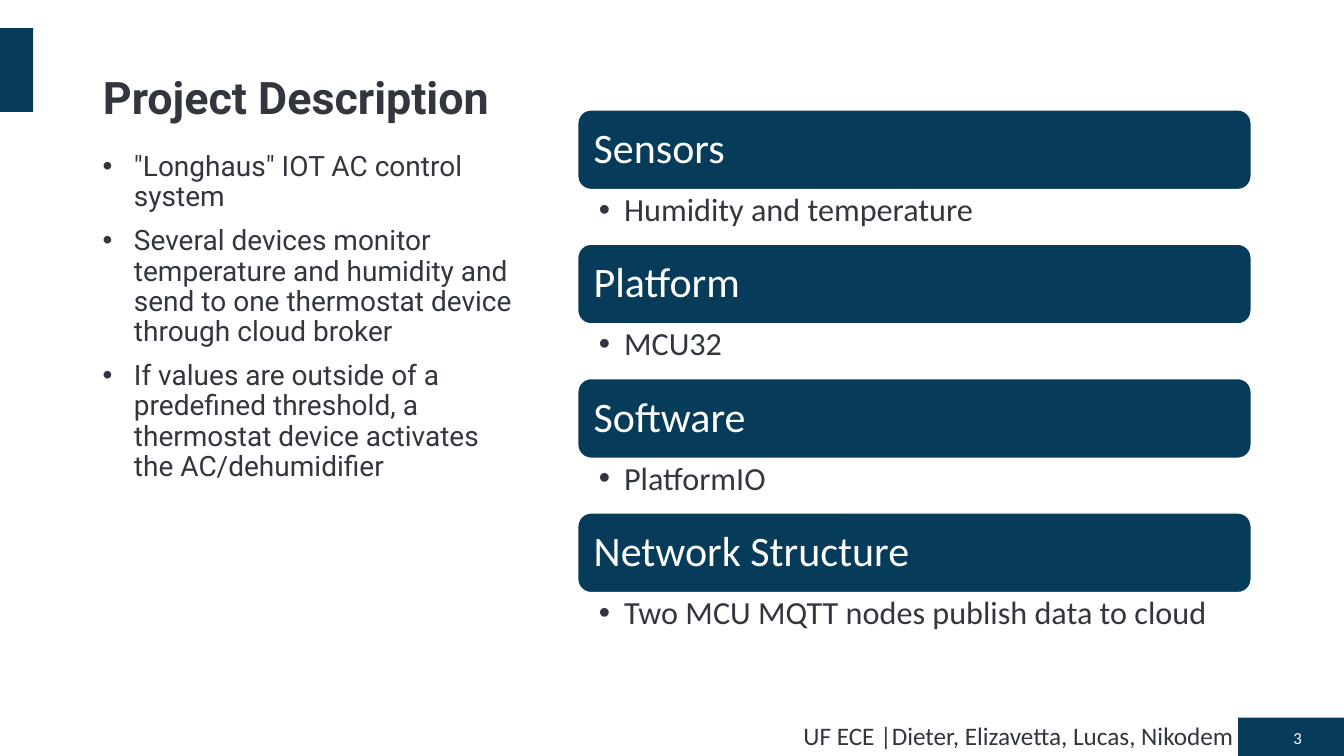
"""Build the project description slide with its four component headings."""
from lxml import etree
from pptx import Presentation
from pptx import util as u
from pptx.dml.color import RGBColor
from pptx.enum import shapes, text
from pptx.oxml.ns import qn

WIDTH, HEIGHT = 13.33, 7.5
COLORS = {"navy": "063B59", "ink": "32363F", "white": "FFFFFF"}

TITLE = "Project Description"
POINTS = [
    '"Longhaus" IOT AC control system',
    "Several devices monitor temperature and humidity and send to one "
    "thermostat device through cloud broker",
    "If values are outside of a predefined threshold, a thermostat device "
    "activates the AC/dehumidifier",
]
COMPONENTS = [
    ("Sensors", "Humidity and temperature"),
    ("Platform", "MCU32"),
    ("Software", "PlatformIO"),
    ("Network Structure", "Two MCU MQTT nodes publish data to cloud"),
]
FOOTER = "UF ECE |Dieter, Elizavetta, Lucas, Nikodem"
PAGE = "3"

BLOCKS = [(12.28, 7.12, 1.05, 0.38), (0, 0.28, 0.33, 0.83)]
LEFT, COLUMN = 0.92, 4.31
GRID_LEFT, GRID_TOP, GRID_WIDTH = 5.73, 1.09, 6.68
BAR, DETAIL = 0.79, 0.54
PITCH = BAR + DETAIL + 0.003

FORMATS = {
    "title": {"name": "Roboto", "size": u.Pt(32), "bold": True},
    "point": {"name": "Roboto", "size": u.Pt(20)},
    "bar": {"name": "Calibri", "size": u.Pt(30)},
    "detail": {"name": "Calibri", "size": u.Pt(23)},
    "footer": {"name": "Calibri", "size": u.Pt(18)},
    "page": {"name": "Calibri", "size": u.Pt(12)},
}


def color(name):
    return RGBColor.from_string(COLORS[name])


def inches(box):
    return [u.Inches(v) for v in box]


def add_block(s, kind, box):
    sp = s.shapes.add_shape(kind, *inches(box))
    sp.shadow.inherit = False
    sp.fill.solid()
    sp.fill.fore_color.rgb = color("navy")
    sp.line.fill.background()
    return sp


def add_bullet(p, indent):
    pPr = p._p.get_or_add_pPr()
    pPr.set("marL", str(u.Inches(indent)))
    pPr.set("indent", str(-u.Inches(indent)))
    etree.SubElement(pPr, qn("a:buFont"), typeface="Arial")
    etree.SubElement(pPr, qn("a:buChar"), char="•")


def write(sp, lines, style, ink="ink", anchor="TOP", align="LEFT",
          inset=(0.1, 0.05), indent=None, line=0.9, gap=0):
    tf = sp.text_frame
    x, y = inches(inset)
    frame = {"word_wrap": True, "auto_size": text.MSO_AUTO_SIZE.NONE,
             "vertical_anchor": text.MSO_ANCHOR[anchor],
             "margin_left": x, "margin_right": x,
             "margin_top": y, "margin_bottom": y}
    for key, value in frame.items():
        setattr(tf, key, value)
    for i, words in enumerate(lines):
        p = tf.add_paragraph() if i else tf.paragraphs[0]
        if indent:
            add_bullet(p, indent)
        p.alignment = text.PP_ALIGN[align]
        p.line_spacing = line
        p.space_before = u.Pt(gap if i else 0)
        r = p.add_run()
        r.text = words
        for key, value in FORMATS[style].items():
            setattr(r.font, key, value)
        r.font.color.rgb = color(ink)


def add_text(s, box, lines, style, **options):
    write(s.shapes.add_textbox(*inches(box)), lines, style, **options)


def main():
    prs = Presentation()
    prs.slide_width, prs.slide_height = inches((WIDTH, HEIGHT))
    s = prs.slides.add_slide(prs.slide_layouts[5])

    for box in BLOCKS:
        add_block(s, shapes.MSO_SHAPE.RECTANGLE, box)

    title = s.shapes.title
    title.left, title.top, title.width, title.height = inches((LEFT, 0.5, COLUMN, 0.78))
    write(title, [TITLE], "title", anchor="BOTTOM")
    add_text(s, (LEFT, 1.46, COLUMN, 4.96), POINTS, "point", indent=0.31, gap=10)

    for i, (name, detail) in enumerate(COMPONENTS):
        top = GRID_TOP + i * PITCH
        bar = add_block(s, shapes.MSO_SHAPE.ROUNDED_RECTANGLE,
                        (GRID_LEFT, top, GRID_WIDTH, BAR))
        bar.line.color.rgb = color("white")
        bar.line.width = u.Pt(1)
        write(bar, [name], "bar", ink="white", anchor="MIDDLE", inset=(0.12, 0.12))
        add_text(s, (GRID_LEFT, top + BAR, GRID_WIDTH, DETAIL), [detail], "detail",
                 inset=(0.21, 0.04), indent=0.25)

    add_text(s, (7.87, 7.1, 4.8, 0.4), [FOOTER], "footer", line=1)
    add_text(s, (12.6, 7.2, 0.41, 0.23), [PAGE], "page", ink="white",
             anchor="MIDDLE", align="RIGHT", line=1)
    prs.save("out.pptx")


if __name__ == "__main__":
    main()
